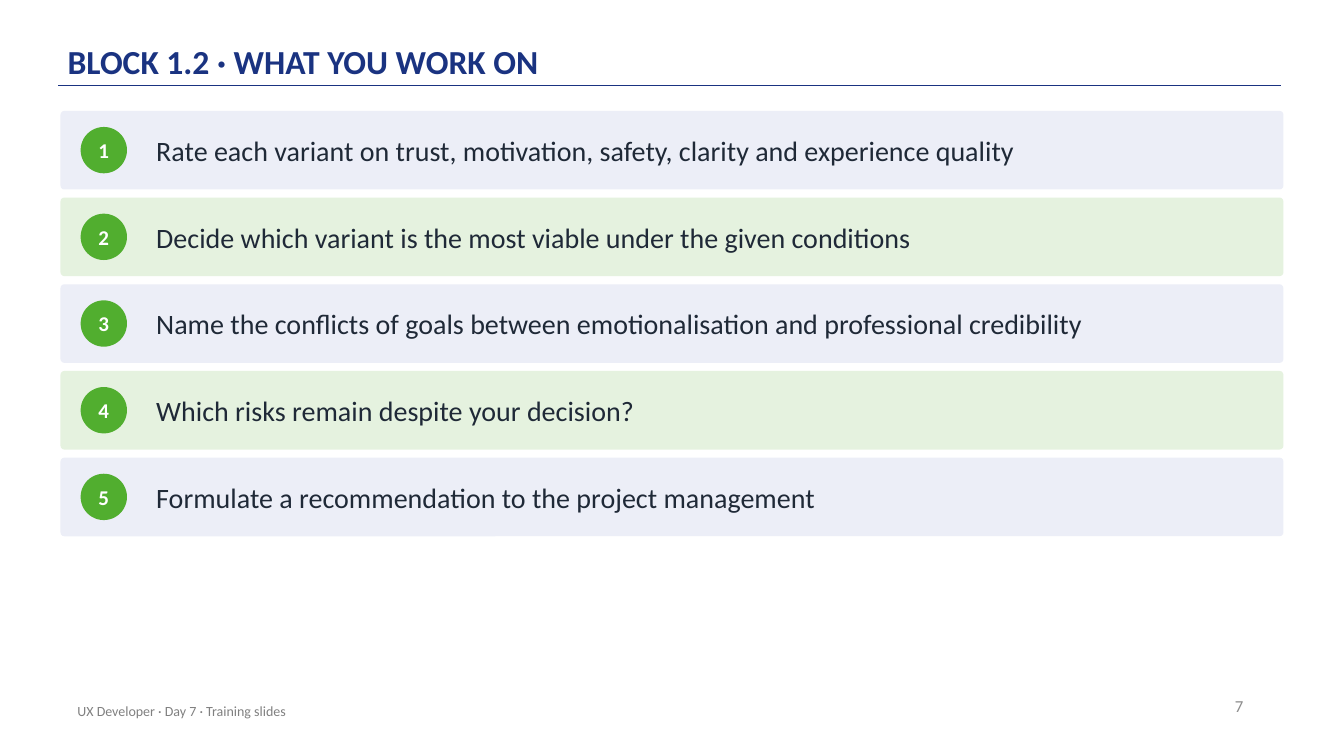
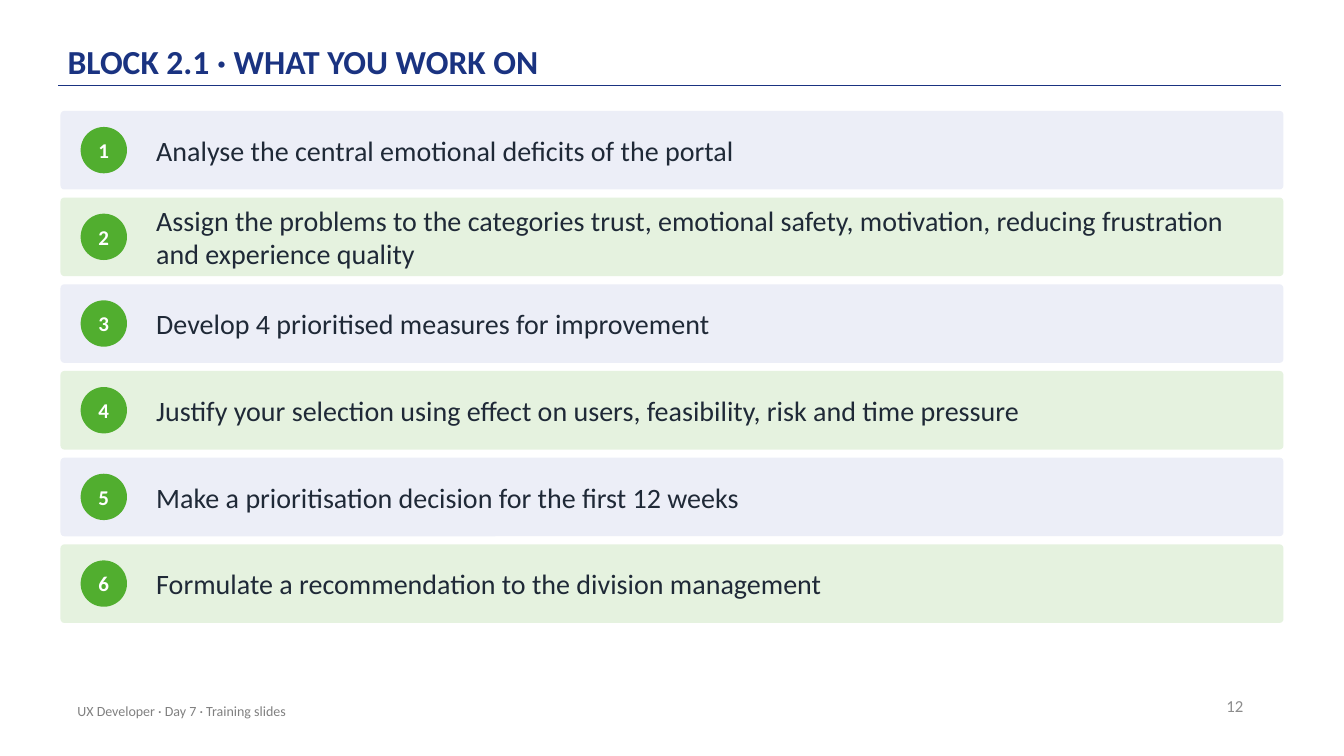
from lxml import etree
from pptx import Presentation
from pptx.dml.color import RGBColor
from pptx.enum.shapes import MSO_CONNECTOR, MSO_SHAPE
from pptx.enum.text import MSO_ANCHOR, PP_ALIGN
from pptx.oxml.ns import qn
from pptx.util import Inches, Pt

STRAIGHT = MSO_CONNECTOR.STRAIGHT
ROUNDED, OVAL = MSO_SHAPE.ROUNDED_RECTANGLE, MSO_SHAPE.OVAL
MIDDLE, BOTTOM = MSO_ANCHOR.MIDDLE, MSO_ANCHOR.BOTTOM
LEFT, CENTER, RIGHT = PP_ALIGN.LEFT, PP_ALIGN.CENTER, PP_ALIGN.RIGHT

FONT = "Calibri"
NAVY, GREEN, WHITE, INK = "1A3381", "51AE2F", "FFFFFF", "1F2937"
NUMBER_GREY, FOOTER_GREY = "8C8C8C", "808080"
BAND_FILLS = ("ECEEF7", "E5F2DF")

SLIDE_WIDTH, SLIDE_HEIGHT = 13.33, 7.5
MARGIN = 0.67
RULE_LEFT, RULE_RIGHT, RULE_TOP = 0.58, 12.71, 0.85

BAND_LEFT, BAND_TOP = 0.6, 1.1
BAND_WIDTH, BAND_HEIGHT, BAND_GAP = SLIDE_WIDTH - 2 * BAND_LEFT, 0.78, 0.08
BADGE_SIZE, BADGE_INDENT = 0.46, 0.2
TASK_INDENT, TASK_RIGHT_PAD = 0.95, 0.25

FOOTER = "UX Developer · Day 7 · Training slides"
SLIDES = [
    ("BLOCK 1.2 · WHAT YOU WORK ON", 7, [
        "Rate each variant on trust, motivation, safety, clarity and experience quality",
        "Decide which variant is the most viable under the given conditions",
        "Name the conflicts of goals between emotionalisation and professional credibility",
        "Which risks remain despite your decision?",
        "Formulate a recommendation to the project management",
    ]),
    ("BLOCK 2.1 · WHAT YOU WORK ON", 12, [
        "Analyse the central emotional deficits of the portal",
        "Assign the problems to the categories trust, emotional safety, motivation, "
        "reducing frustration and experience quality",
        "Develop 4 prioritised measures for improvement",
        "Justify your selection using effect on users, feasibility, risk and time pressure",
        "Make a prioritisation decision for the first 12 weeks",
        "Formulate a recommendation to the division management",
    ]),
]


def color(hex_string):
    return RGBColor.from_string(hex_string)


def inches(*lengths):
    return [Inches(length) for length in lengths]


def write(shape, text, size, text_color, bold=False, align=LEFT, anchor=MIDDLE,
          insets=(0, 0, 0, 0)):
    """Fill a shape with one formatted line; insets run left, top, right, bottom."""
    frame = shape.text_frame
    frame.word_wrap = True
    frame.vertical_anchor = anchor
    (frame.margin_left, frame.margin_top,
     frame.margin_right, frame.margin_bottom) = inches(*insets)
    para = frame.paragraphs[0]
    para.alignment = align
    span = para.add_run()
    span.text = text
    span.font.name = FONT
    span.font.size = Pt(size)
    span.font.bold = bold
    span.font.color.rgb = color(text_color)
    return para


def add_text(page, area, text, size, text_color, **style):
    box = page.shapes.add_textbox(*inches(*area))
    write(box, text, size, text_color, **style)


def add_filled(page, kind, area, fill):
    shape = page.shapes.add_shape(kind, *inches(*area))
    shape.shadow.inherit = False
    shape.fill.solid()
    shape.fill.fore_color.rgb = color(fill)
    shape.line.fill.background()
    return shape


def add_title(page, text):
    title = page.shapes.title
    title.left, title.top, title.width, title.height = inches(MARGIN, 0.12, 11, 0.72)
    para = write(title, text, 24, NAVY, bold=True, anchor=BOTTOM,
                 insets=(0, 0.03, 0, 0.03))
    para.line_spacing = 0.9


def add_rule(page):
    rule = page.shapes.add_connector(
        STRAIGHT, *inches(RULE_LEFT, RULE_TOP, RULE_RIGHT, RULE_TOP))
    rule.line.color.rgb = color(NAVY)
    rule.line.width = Pt(1)
    etree.SubElement(rule._element.spPr, qn("a:effectLst"))


def add_footer(page, number):
    insets = (0.1, 0.05, 0.1, 0.05)
    add_text(page, (9.43, 6.8, 3, 0.4), str(number), 12, NUMBER_GREY,
             align=RIGHT, insets=insets)
    add_text(page, (MARGIN, 6.85, 6.7, 0.4), FOOTER, 10, FOOTER_GREY, insets=insets)


def add_task(page, index, text):
    """Draw one numbered band, its row given by the index."""
    top = BAND_TOP + index * (BAND_HEIGHT + BAND_GAP)
    band = add_filled(page, ROUNDED, (BAND_LEFT, top, BAND_WIDTH, BAND_HEIGHT),
                      BAND_FILLS[index % len(BAND_FILLS)])
    band.adjustments[0] = 0.05
    badge_top = top + (BAND_HEIGHT - BADGE_SIZE) / 2
    badge = add_filled(page, OVAL, (BAND_LEFT + BADGE_INDENT, badge_top,
                                    BADGE_SIZE, BADGE_SIZE), GREEN)
    write(badge, str(index + 1), 15, WHITE, bold=True, align=CENTER)
    text_width = BAND_WIDTH - TASK_INDENT - TASK_RIGHT_PAD
    add_text(page, (BAND_LEFT + TASK_INDENT, top, text_width, BAND_HEIGHT),
             text, 20, INK)


def main():
    deck = Presentation()
    deck.slide_width, deck.slide_height = inches(SLIDE_WIDTH, SLIDE_HEIGHT)
    title_only = deck.slide_layouts.get_by_name("Title Only")
    for title, number, tasks in SLIDES:
        page = deck.slides.add_slide(title_only)
        add_rule(page)
        add_title(page, title)
        add_footer(page, number)
        for index, task in enumerate(tasks):
            add_task(page, index, task)
    deck.save("out.pptx")


if __name__ == "__main__":
    main()
